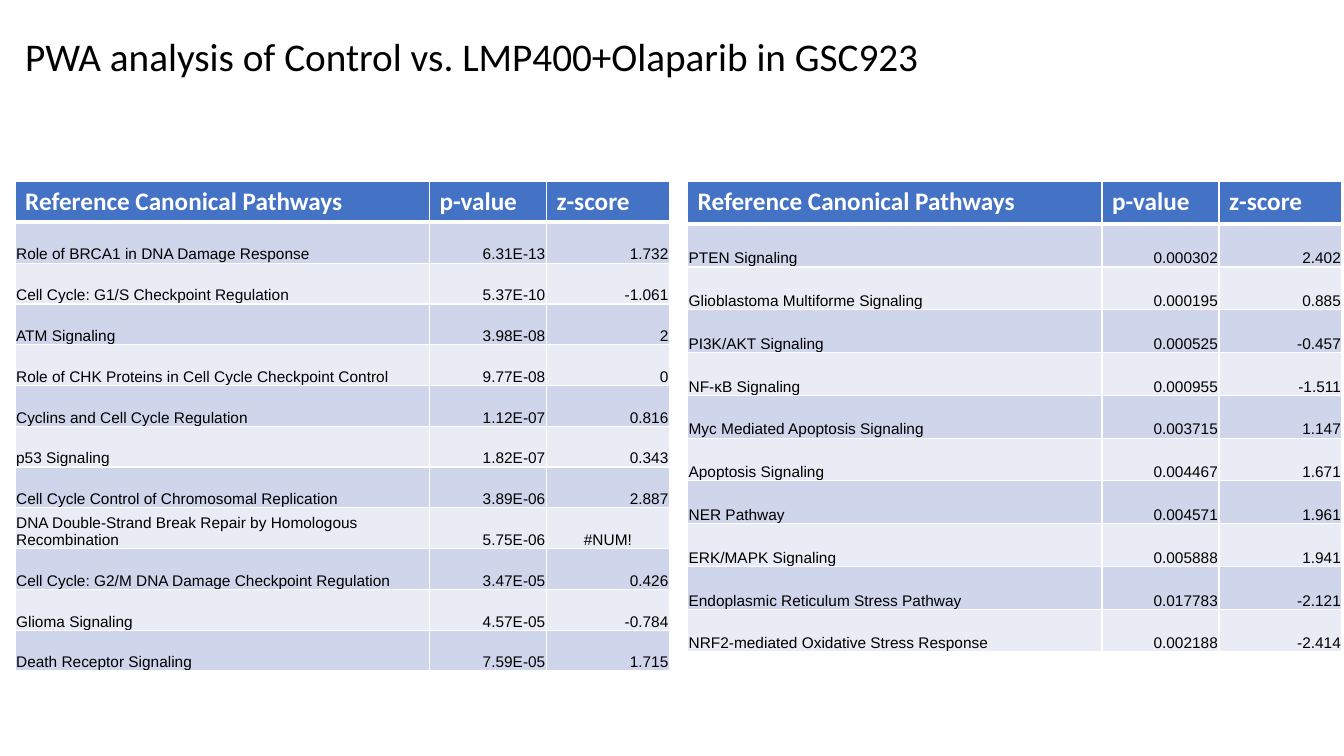
from lxml import etree
from pptx import Presentation
from pptx import util as u
from pptx.dml.color import RGBColor
from pptx.enum.text import MSO_ANCHOR, PP_ALIGN
from pptx.oxml.ns import qn

# Content
TITLE = "PWA analysis of Control vs. LMP400+Olaparib in GSC923"
HEADER = ("Reference Canonical Pathways", "p-value", "z-score")
LEFT_ROWS = [
    ("Role of BRCA1 in DNA Damage Response", "6.31E-13", "1.732"),
    ("Cell Cycle: G1/S Checkpoint Regulation", "5.37E-10", "-1.061"),
    ("ATM Signaling", "3.98E-08", "2"),
    ("Role of CHK Proteins in Cell Cycle Checkpoint Control", "9.77E-08", "0"),
    ("Cyclins and Cell Cycle Regulation", "1.12E-07", "0.816"),
    ("p53 Signaling", "1.82E-07", "0.343"),
    ("Cell Cycle Control of Chromosomal Replication", "3.89E-06", "2.887"),
    ("DNA Double-Strand Break Repair by Homologous Recombination", "5.75E-06", "#NUM!"),
    ("Cell Cycle: G2/M DNA Damage Checkpoint Regulation", "3.47E-05", "0.426"),
    ("Glioma Signaling", "4.57E-05", "-0.784"),
    ("Death Receptor Signaling", "7.59E-05", "1.715"),
]
RIGHT_ROWS = [
    ("PTEN Signaling", "0.000302", "2.402"),
    ("Glioblastoma Multiforme Signaling", "0.000195", "0.885"),
    ("PI3K/AKT Signaling", "0.000525", "-0.457"),
    ("NF-κB Signaling", "0.000955", "-1.511"),
    ("Myc Mediated Apoptosis Signaling", "0.003715", "1.147"),
    ("Apoptosis Signaling", "0.004467", "1.671"),
    ("NER Pathway", "0.004571", "1.961"),
    ("ERK/MAPK Signaling", "0.005888", "1.941"),
    ("Endoplasmic Reticulum Stress Pathway", "0.017783", "-2.121"),
    ("NRF2-mediated Oxidative Stress Response", "0.002188", "-2.414"),
]
# Left edge, height and rows of each table
TABLES = [(0.15, 4.86, LEFT_ROWS), (6.82, 4.67, RIGHT_ROWS)]
TABLE_TOP = 1.8
COLUMN_WIDTHS = (4.11, 1.16, 1.22)
HEADER_FILL = "4472C4"
BAND_FILLS = ("CFD5EA", "E9EBF5")
WHITE, BLACK = "FFFFFF", "000000"


def color(value):
    return RGBColor.from_string(value)


def format_text(para, font, size, value, bold=False):
    for span in para.runs:
        span.font.name = font
        span.font.size = u.Pt(size)
        span.font.bold = bold
        span.font.color.rgb = color(value)


def set_borders(cell, bottom_width):
    properties = cell._tc.get_or_add_tcPr()
    widths = {"lnL": 1, "lnR": 1, "lnT": 1, "lnB": bottom_width}
    for index, (side, width) in enumerate(widths.items()):
        line = etree.Element(qn("a:" + side), w=str(u.Pt(width)))
        fill = etree.SubElement(line, qn("a:solidFill"))
        etree.SubElement(fill, qn("a:srgbClr"), val=WHITE)
        properties.insert(index, line)


def fill_cell(cell, text, row, column):
    cell.text = text
    para = cell.text_frame.paragraphs[0]
    cell.fill.solid()
    if row == 0:
        cell.fill.fore_color.rgb = color(HEADER_FILL)
        format_text(para, "Calibri", 18, WHITE, bold=True)
        set_borders(cell, 3)
        return
    cell.fill.fore_color.rgb = color(BAND_FILLS[(row - 1) % 2])
    format_text(para, "Arial", 11, BLACK)
    set_borders(cell, 1)
    cell.vertical_anchor = MSO_ANCHOR.BOTTOM
    cell.margin_left = cell.margin_right = cell.margin_top = u.Inches(0.01)
    cell.margin_bottom = 0
    if text.startswith("#"):
        para.alignment = PP_ALIGN.CENTER
    elif column > 0:
        para.alignment = PP_ALIGN.RIGHT


def add_pathway_table(page, left, height, rows):
    lines = [HEADER, *rows]
    frame = page.shapes.add_table(
        len(lines), len(HEADER), u.Inches(left), u.Inches(TABLE_TOP),
        u.Inches(sum(COLUMN_WIDTHS)), u.Inches(height))
    table = frame.table
    for column, width in zip(table.columns, COLUMN_WIDTHS):
        column.width = u.Inches(width)
    for row, line in enumerate(lines):
        table.rows[row].height = u.Inches(height / len(lines))
        for column, text in enumerate(line):
            fill_cell(table.cell(row, column), text, row, column)


def main():
    deck = Presentation()
    deck.slide_width, deck.slide_height = u.Inches(13.33), u.Inches(7.5)
    page = deck.slides.add_slide(deck.slide_layouts[5])

    # Title
    title = page.shapes.title
    title.left, title.top = u.Inches(0.15), u.Inches(0.23)
    title.width, title.height = u.Inches(12.6), u.Inches(0.71)
    title.text_frame.text = TITLE
    title.text_frame.vertical_anchor = MSO_ANCHOR.MIDDLE
    para = title.text_frame.paragraphs[0]
    para.alignment = PP_ALIGN.LEFT
    para.line_spacing = 0.9
    format_text(para, "Calibri", 28, BLACK)

    # Pathway tables
    for left, height, rows in TABLES:
        add_pathway_table(page, left, height, rows)

    deck.save("out.pptx")


if __name__ == "__main__":
    main()
